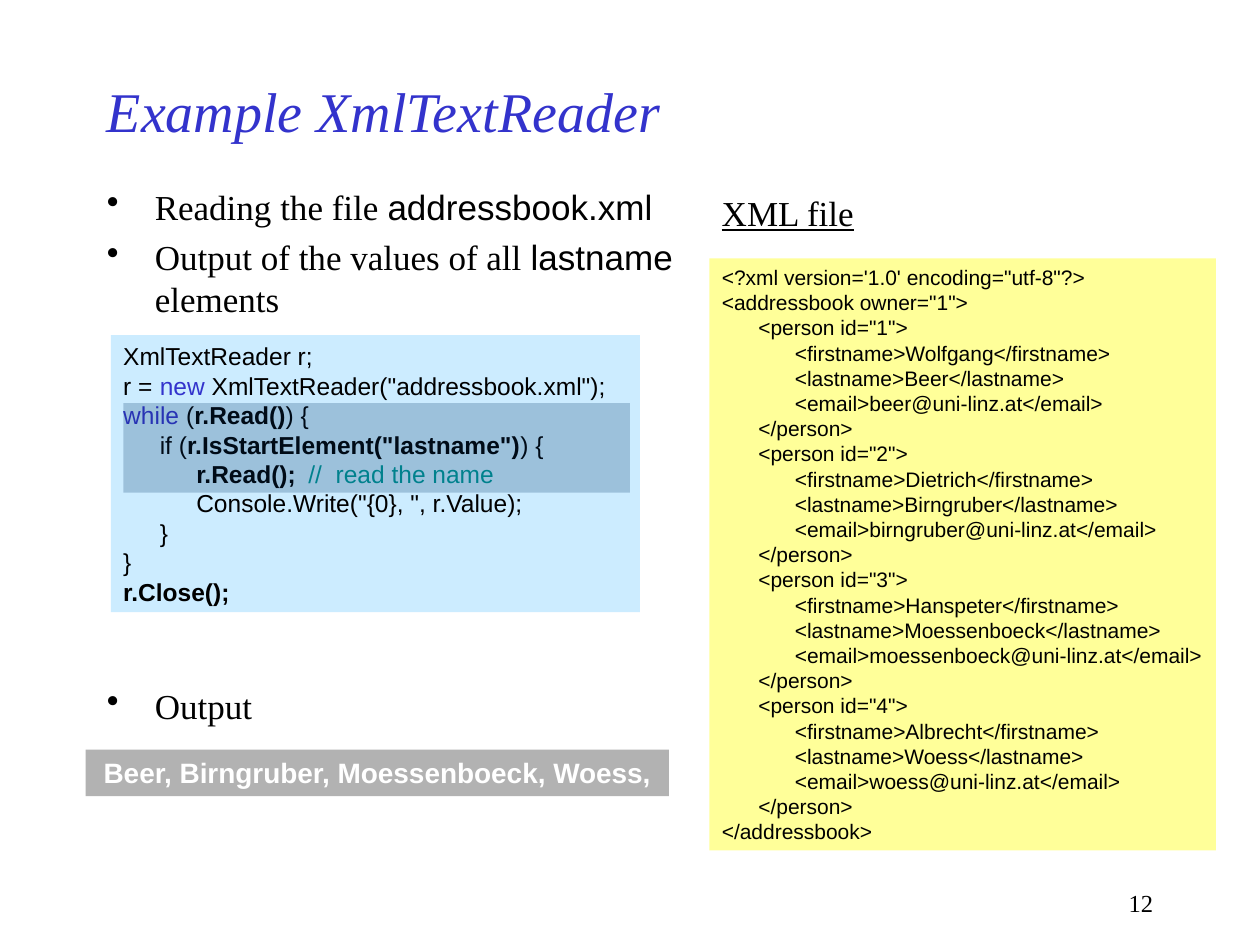
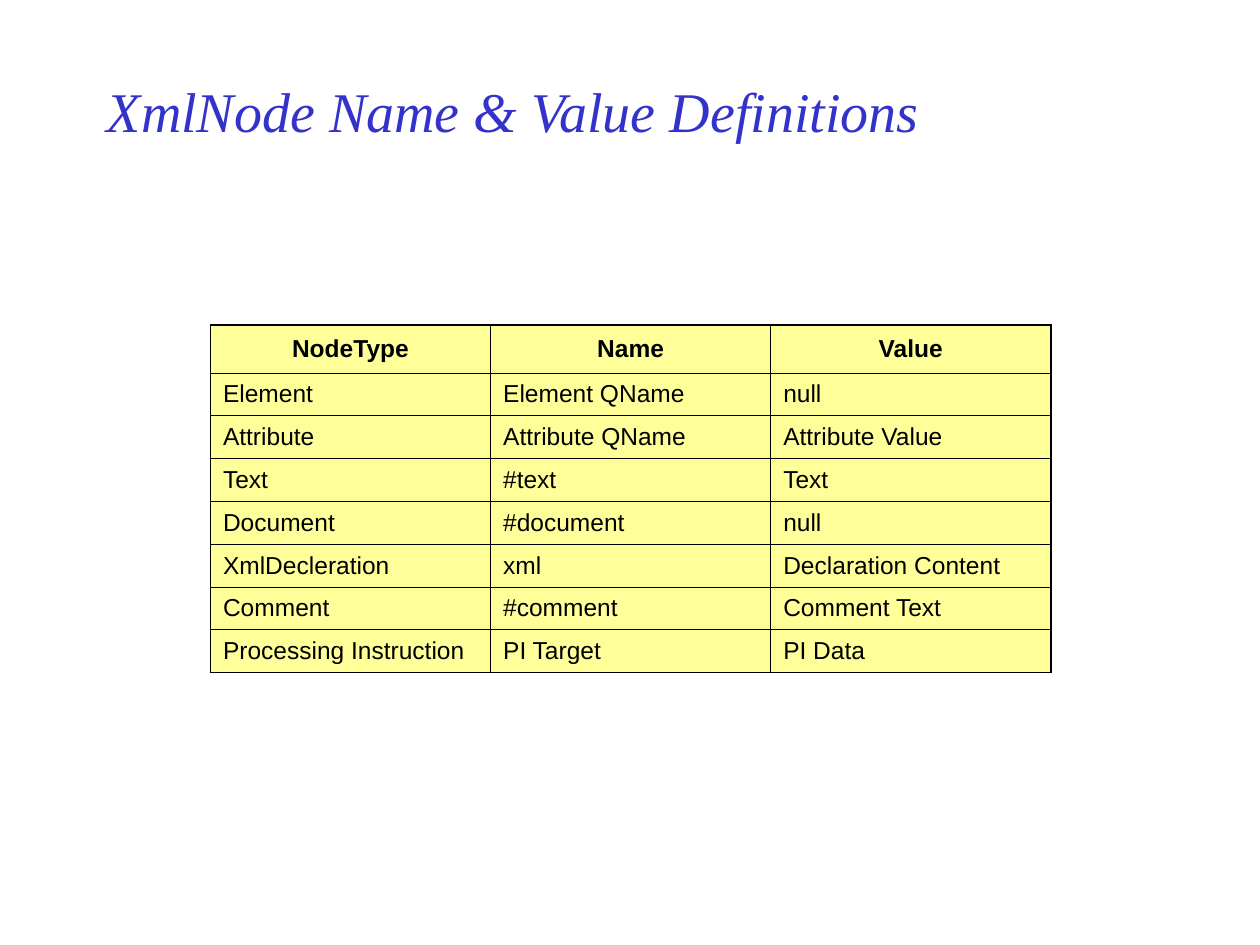
"""Build two slides on reading XML: an XmlTextReader example and a table of XmlNode definitions."""
from lxml import etree
from pptx import Presentation, util as u
from pptx.dml.color import RGBColor
from pptx.enum import shapes, text
from pptx.oxml.ns import qn

SERIF, SANS = "Times New Roman", "Arial"
BLACK, WHITE, BLUE, TEAL = "000000", "FFFFFF", "3333CC", "009999"
SKY, YELLOW, GREY, NAVY = "CCECFF", "FFFF99", "B2B2B2", "003366"
rgb = RGBColor.from_string


def add_text(slide, box, lines, size, face, color=BLACK, fill=None, bullet=False, tabs=()):
    """Place lines of text; a line is a string or a list of (text, font settings) pairs."""
    area = [u.Inches(length) for length in box]
    if fill:
        holder = slide.shapes.add_shape(shapes.MSO_SHAPE.RECTANGLE, *area)
        holder.shadow.inherit = False
        holder.fill.solid()
        holder.fill.fore_color.rgb = rgb(fill)
        holder.line.fill.background()
    else:
        holder = slide.shapes.add_textbox(*area)
    frame = holder.text_frame
    frame.word_wrap = True
    frame.vertical_anchor = text.MSO_ANCHOR.TOP
    for index, line in enumerate(lines):
        paragraph = frame.paragraphs[0] if index == 0 else frame.add_paragraph()
        paragraph.alignment = text.PP_ALIGN.LEFT
        paragraph.line_spacing = u.Pt(1.2 * size)
        properties = paragraph._p.get_or_add_pPr()
        if bullet:
            properties.set("marL", str(u.Inches(0.38)))
            properties.set("indent", str(u.Inches(-0.38)))
            etree.SubElement(properties, qn("a:buChar"), char="•")
            if index:
                paragraph.space_before = u.Pt(5)
        if tabs:
            stops = etree.SubElement(properties, qn("a:tabLst"))
            for stop in tabs:
                etree.SubElement(stops, qn("a:tab"), pos=str(u.Inches(stop)), algn="l")
        paragraph.font.size = u.Pt(size)
        paragraph.font.name = face
        paragraph.font.color.rgb = rgb(color)
        for words, settings in [(line, {})] if isinstance(line, str) else line:
            run = paragraph.add_run()
            run.text = words
            for key, value in settings.items():
                if key == "color":
                    run.font.color.rgb = rgb(value)
                else:
                    setattr(run.font, key, value)
    return frame


deck = Presentation()
deck.slide_width, deck.slide_height = u.Inches(10), u.Inches(7.5)
slides = []
for heading in ("Example XmlTextReader", "XmlNode Name & Value Definitions"):
    slide = deck.slides.add_slide(deck.slide_layouts[6])
    title = add_text(slide, (0.75, 0.5, 7.5, 0.75), [heading], 32, SERIF, BLUE)
    title.vertical_anchor = text.MSO_ANCHOR.MIDDLE
    title.paragraphs[0].font.italic = True
    slides.append(slide)
example, definitions = slides

page_number = add_text(example, (7.17, 7, 2.08, 0.33), ["12"], 14, SERIF)
page_number.paragraphs[0].alignment = text.PP_ALIGN.RIGHT

sans, bold = {"name": SANS}, {"bold": True}
keyword, remark = {"color": BLUE}, {"color": TEAL}
tasks = [
    [("Reading the file ", {}), ("addressbook.xml", sans)],
    [("Output of the values of all ", {}), ("lastname", sans), (" elements", {})],
]
add_text(example, (0.75, 1.42, 4.72, 1.2), tasks, 20, SERIF, bullet=True)
add_text(example, (0.75, 5.38, 4.72, 0.45), ["Output"], 20, SERIF, bullet=True)

code_tabs = [0.29, 0.58, 0.89, 1.18, 1.47]
reader_code = [
    "XmlTextReader r;",
    [("r =\t", {}), ("new", keyword), (' XmlTextReader("addressbook.xml");', {})],
    [("while", keyword), (" (", {}), ("r.Read()", bold), (") {", {})],
    [("\tif (", {}), ('r.IsStartElement("lastname")', bold), (") {", {})],
    [("\t\t", {}), ("r.Read();\t", bold), ("//  read the name", remark)],
    '\t\tConsole.Write("{0}, ", r.Value);',
    "\t}",
    "}",
    [("r.Close();", bold)],
]
add_text(example, (0.88, 2.66, 4.2, 2.2), reader_code, 14, SANS, fill=SKY, tabs=code_tabs)

people = [("Wolfgang", "Beer"), ("Dietrich", "Birngruber"),
          ("Hanspeter", "Moessenboeck"), ("Albrecht", "Woess")]
address_book = ["<?xml version='1.0' encoding=\"utf-8\"?>", '<addressbook owner="1">']
for number, (first, last) in enumerate(people, 1):
    address_book += [
        f'\t<person id="{number}">',
        f"\t\t<firstname>{first}</firstname>",
        f"\t\t<lastname>{last}</lastname>",
        f"\t\t<email>{last.lower()}@uni-linz.at</email>",
        "\t</person>",
    ]
address_book.append("</addressbook>")
xml_file = add_text(example, (5.63, 2.05, 4.02, 4.7), address_book, 12, SANS,
                    fill=YELLOW, tabs=code_tabs)
xml_file.margin_right = 0

names = ", ".join(last for first, last in people) + ","
output = add_text(example, (0.68, 5.95, 4.63, 0.37), [names], 16, SANS, WHITE, fill=GREY)
output.paragraphs[0].alignment = text.PP_ALIGN.CENTER
output.paragraphs[0].font.bold = True

xml_heading = add_text(example, (5.63, 1.47, 4.37, 0.45), ["XML file"], 20, SERIF)
xml_heading.paragraphs[0].font.underline = True

highlight = example.shapes.add_shape(shapes.MSO_SHAPE.RECTANGLE, u.Inches(0.98), u.Inches(3.2),
                                     u.Inches(4.02), u.Inches(0.71))
highlight.shadow.inherit = False
highlight.fill.solid()
highlight.fill.fore_color.rgb = rgb(NAVY)
highlight.line.fill.background()
tint = highlight._element.spPr.find(qn("a:solidFill"))[0]
etree.SubElement(tint, qn("a:alpha"), val="23000")

node_rows = [
    ("NodeType", "Name", "Value"),
    ("Element", "Element QName", "null"),
    ("Attribute", "Attribute QName", "Attribute Value"),
    ("Text", "#text", "Text"),
    ("Document", "#document", "null"),
    ("XmlDecleration", "xml", "Declaration Content"),
    ("Comment", "#comment", "Comment Text"),
    ("Processing Instruction", "PI Target", "PI Data"),
]
last_row, last_column = len(node_rows) - 1, len(node_rows[0]) - 1
nodes = definitions.shapes.add_table(len(node_rows), len(node_rows[0]), u.Inches(1.67),
                                     u.Inches(2.58), u.Inches(6.67), u.Inches(2.76)).table
nodes.first_row = nodes.horz_banding = False
for r, values in enumerate(node_rows):
    nodes.rows[r].height = u.Inches(0.34 if r else 0.38)
    for c, value in enumerate(values):
        cell = nodes.cell(r, c)
        cell.vertical_anchor = text.MSO_ANCHOR.MIDDLE
        edges = {"lnL": c == 0, "lnR": c == last_column, "lnT": r == 0, "lnB": r == last_row}
        for edge, outer in edges.items():
            border = etree.SubElement(cell._tc.get_or_add_tcPr(), qn(f"a:{edge}"),
                                      w=str(u.Pt(1.08 if outer else 0.45)))
            ink = etree.SubElement(border, qn("a:solidFill"))
            etree.SubElement(ink, qn("a:srgbClr"), val=BLACK)
        cell.fill.solid()
        cell.fill.fore_color.rgb = rgb(YELLOW)
        cell.text = value
        entry = cell.text_frame.paragraphs[0]
        entry.alignment = text.PP_ALIGN.LEFT if r else text.PP_ALIGN.CENTER
        entry.font.size = u.Pt(14)
        entry.font.name = SANS
        entry.font.bold = r == 0
        entry.font.color.rgb = rgb(BLACK)

deck.save("out.pptx")
